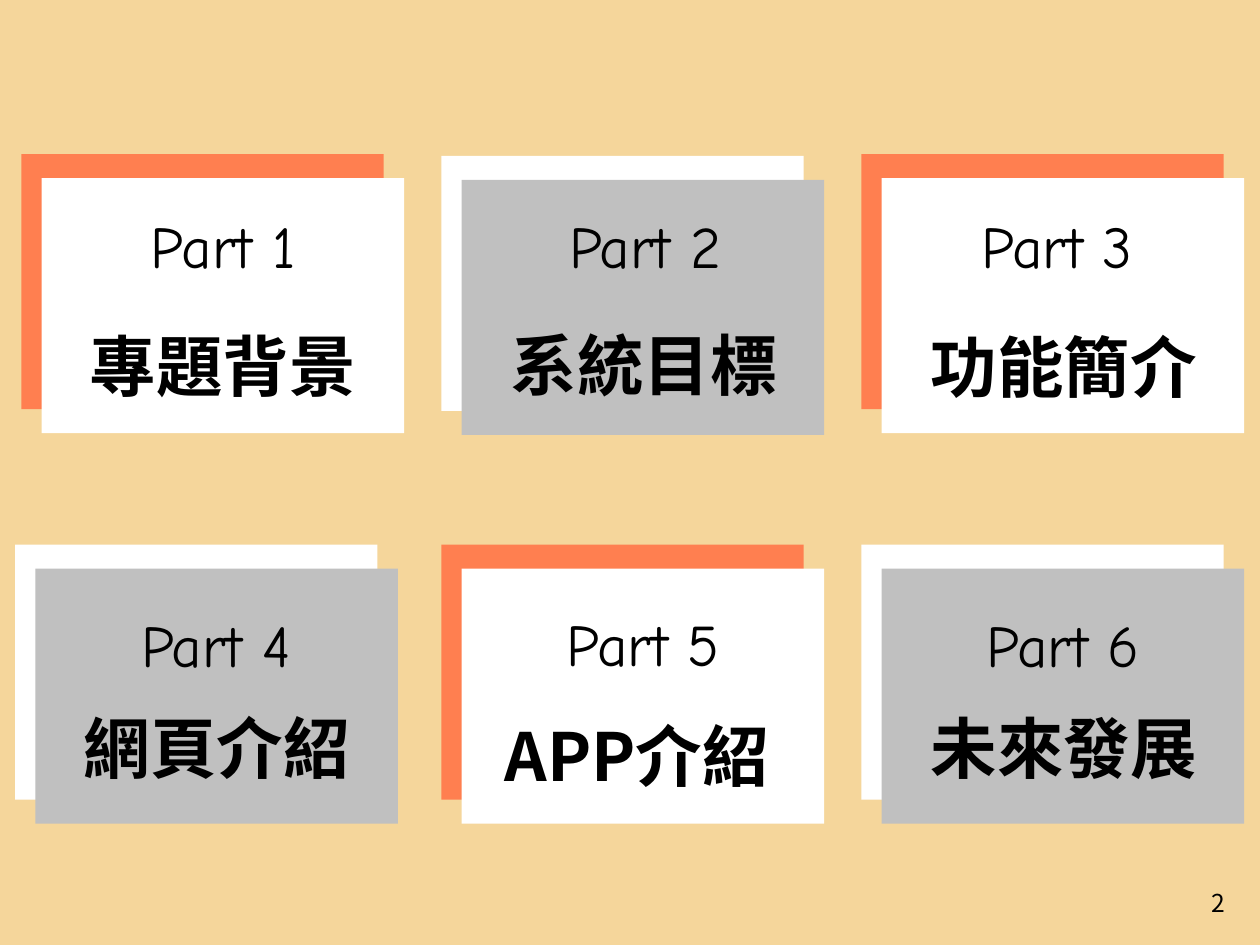
from lxml import etree
from pptx import Presentation
from pptx.dml.color import RGBColor
from pptx.enum import shapes, text
from pptx.oxml import ns
from pptx.util import Inches, Pt

HUES = {"sand": "F5D69B", "coral": "FF7F50", "white": "FFFFFF",
        "gray": "C0C0C0", "black": "000000"}
MID, LOW = text.MSO_ANCHOR.MIDDLE, text.MSO_ANCHOR.BOTTOM
MAIN, RIGHT = text.PP_ALIGN.CENTER, text.PP_ALIGN.RIGHT
STYLES = {
    "title": {"size": Pt(54), "name": "Noto Sans CJK JP", "bold": True},
    "part": {"size": Pt(48), "name": "Comic Neue"},
    "page": {"size": Pt(20), "name": "Noto Sans CJK SC"},
}

deck = Presentation()
deck.slide_width, deck.slide_height = Inches(14.22), Inches(10.67)
slide = deck.slides.add_slide(deck.slide_layouts[6])
slide.background.fill.solid()
slide.background.fill.fore_color.rgb = RGBColor.from_string(HUES["sand"])


def add_panel(left, top, hue):
    box = slide.shapes.add_shape(
        shapes.MSO_SHAPE.RECTANGLE, Inches(left), Inches(top), Inches(4.09), Inches(2.88))
    box.shadow.inherit = False
    box.fill.solid()
    box.fill.fore_color.rgb = RGBColor.from_string(HUES[hue])
    box.line.fill.background()


def add_label(words, place, style, align=MAIN, anchor=MID, wrap=True):
    frame = slide.shapes.add_textbox(*map(Inches, place)).text_frame
    layout = {"word_wrap": wrap, "vertical_anchor": anchor,
              "auto_size": text.MSO_AUTO_SIZE.SHAPE_TO_FIT_TEXT}
    for side in ("left", "right", "top", "bottom"):
        layout["margin_" + side] = Inches(0.06)
    for key, value in layout.items():
        setattr(frame, key, value)
    para = frame.paragraphs[0]
    para.alignment = align
    run = para.add_run()
    run.text = words
    run.font.color.rgb = RGBColor.from_string(HUES["black"])
    for key, value in STYLES[style].items():
        setattr(run.font, key, value)
    # Chinese characters take their font from a:ea
    east = etree.SubElement(run._r.get_or_add_rPr(), ns.qn("a:ea"))
    east.set("typeface", STYLES[style]["name"])


# Card left and top, title, title left and top, part left and top
cards = [
    (0.24, 1.74, "專題背景", 0.54, 3.61, 1.04, 2.3),
    (4.98, 1.76, "系統目標", 5.29, 3.6, 5.8, 2.3),
    (9.72, 1.74, "功能簡介", 10.03, 3.62, 10.45, 2.3),
    (0.17, 6.15, "網頁介紹", 0.47, 7.92, 0.96, 6.81),
    (4.98, 6.15, "APP介紹", 5.21, 8.01, 5.78, 6.8),
    (9.72, 6.15, "未來發展", 10.03, 7.92, 10.52, 6.81),
]
for num, (left, top, title, title_x, title_y, part_x, part_y) in enumerate(cards, 1):
    back, front = ("coral", "white") if num % 2 else ("white", "gray")
    add_panel(left, top, back)
    add_panel(left + 0.23, top + 0.27, front)
    add_label(title, (title_x, title_y, 3.95, 1.02), "title")
    add_label(f"Part {num}", (part_x, part_y, 2.96, 0.92), "part")

add_label("2", (13.41, 9.97, 0.48, 0.45), "page", RIGHT, LOW, False)

deck.save("out.pptx")
